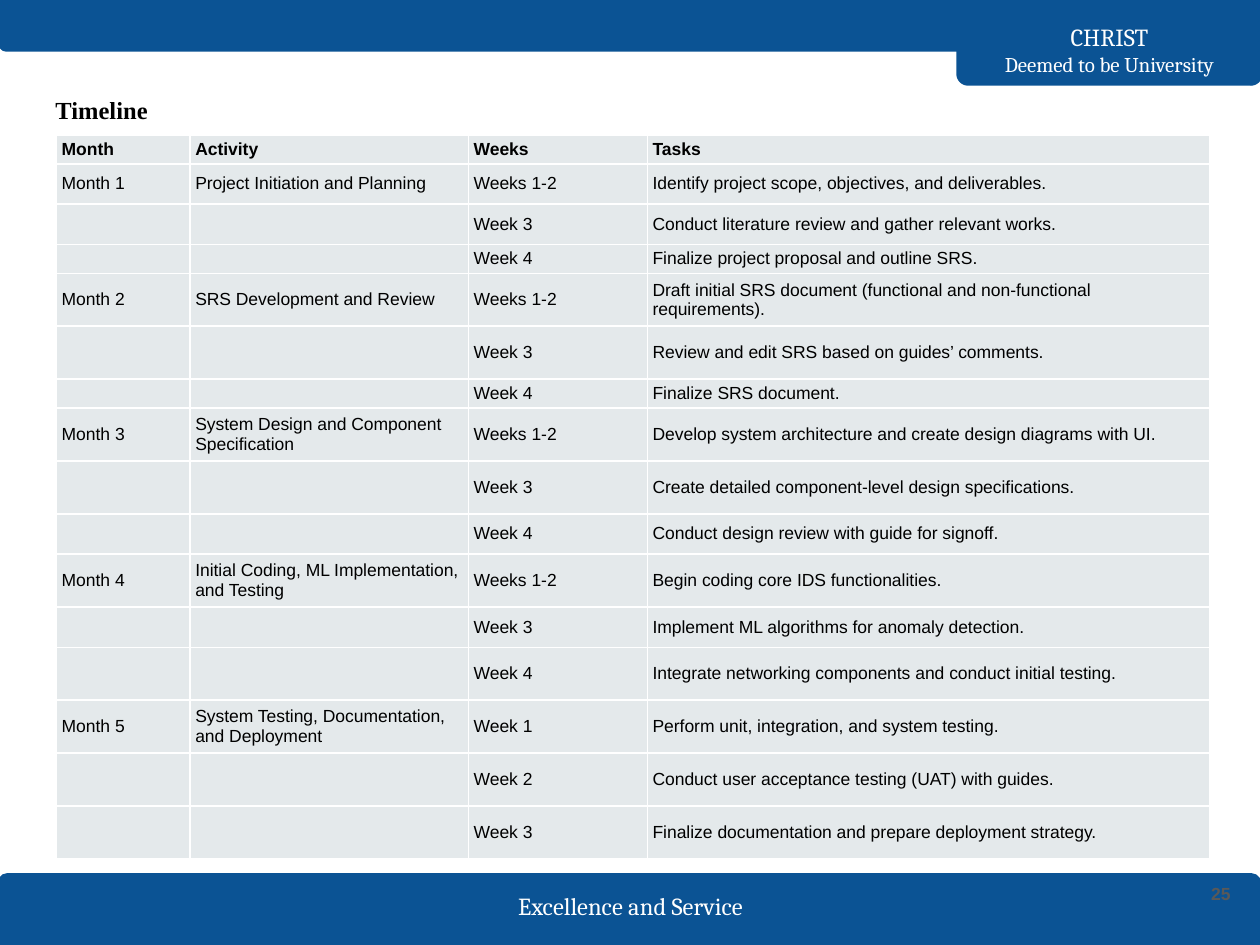
"""Build the project timeline slide."""
import lxml.etree
import pptx
import pptx.dml.color
import pptx.enum.shapes
import pptx.enum.text
import pptx.oxml.ns
import pptx.util

Inches = pptx.util.Inches
ANCHOR = pptx.enum.text.MSO_ANCHOR
ALIGN = pptx.enum.text.PP_ALIGN

COLORS = {"band": "0B5394", "cell": "E4E9EB", "text": "000000",
          "light": "FFFFFF", "number": "595959"}

HEADINGS = ("Month", "Activity", "Weeks", "Tasks")
COLUMN_WIDTHS = (1.06, 2.21, 1.42, 4.46)
HEADING_HEIGHT = 0.23
MONTHS = [
    ("Month 1", "Project Initiation and Planning", [
        ("Weeks 1-2", "Identify project scope, objectives, and deliverables.", 0.32),
        ("Week 3", "Conduct literature review and gather relevant works.", 0.32),
        ("Week 4", "Finalize project proposal and outline SRS.", 0.23)]),
    ("Month 2", "SRS Development and Review", [
        ("Weeks 1-2", "Draft initial SRS document (functional and non-functional requirements).", 0.42),
        ("Week 3", "Review and edit SRS based on guides’ comments.", 0.42),
        ("Week 4", "Finalize SRS document.", 0.23)]),
    ("Month 3", "System Design and Component Specification", [
        ("Weeks 1-2", "Develop system architecture and create design diagrams with UI.", 0.42),
        ("Week 3", "Create detailed component-level design specifications.", 0.42),
        ("Week 4", "Conduct design review with guide for signoff.", 0.32)]),
    ("Month 4", "Initial Coding, ML Implementation, and Testing", [
        ("Weeks 1-2", "Begin coding core IDS functionalities.", 0.42),
        ("Week 3", "Implement ML algorithms for anomaly detection.", 0.32),
        ("Week 4", "Integrate networking components and conduct initial testing.", 0.42)]),
    ("Month 5", "System Testing, Documentation, and Deployment", [
        ("Week 1", "Perform unit, integration, and system testing.", 0.42),
        ("Week 2", "Conduct user acceptance testing (UAT) with guides.", 0.42),
        ("Week 3", "Finalize documentation and prepare deployment strategy.", 0.42)]),
]
BANDS = [((-0.01, 6.94, 10.01, 0.56), 0), ((7.6, 0, 2.41, 0.67), 180),
         ((0, 0, 10.01, 0.4), 180)]
LABELS = [
    ((3.66, 7.03, 2.69, 0.32), [("Excellence and Service", 14)], "Cambria", "light", False),
    ((7.6, 0.27, 2.41, 0.25), [("CHRIST", 14), ("Deemed to be University", 12)],
     "Cambria", "light", False),
    ((9.44, 6.94, 0.5, 0.3), [("25", 10)], "Arial", "number", True),
]


def rgb(name):
    return pptx.dml.color.RGBColor.from_string(COLORS[name])


def style(paragraph, size, face, color, bold=False):
    font = paragraph.font
    font.size, font.name, font.bold = pptx.util.Pt(size), face, bold
    font.color.rgb = rgb(color)


def set_margins(frame, horizontal, vertical):
    frame.margin_left = frame.margin_right = Inches(horizontal)
    frame.margin_top = frame.margin_bottom = Inches(vertical)


def add_band(slide, box, rotation):
    band = slide.shapes.add_shape(
        pptx.enum.shapes.MSO_SHAPE.ROUND_2_SAME_RECTANGLE, *map(Inches, box))
    band.adjustments[0], band.adjustments[1] = 0.125, 0
    band.rotation = rotation
    band.shadow.inherit = False
    band.fill.solid()
    band.fill.fore_color.rgb = band.line.color.rgb = rgb("band")
    band.line.width = pptx.util.Pt(1.5)


def add_label(slide, box, lines, face, color, bold):
    frame = slide.shapes.add_textbox(*map(Inches, box)).text_frame
    frame.word_wrap = True
    frame.vertical_anchor = ANCHOR.MIDDLE
    set_margins(frame, 0.1, 0.1)
    frame.text = "\n".join(text for text, size in lines)
    for paragraph, (text, size) in zip(frame.paragraphs, lines):
        paragraph.alignment = ALIGN.CENTER
        style(paragraph, size, face, color, bold)


def add_title(slide):
    title = slide.shapes.title
    title.left, title.top, title.width, title.height = map(Inches, (0.34, 0.65, 9.32, 0.83))
    frame = title.text_frame
    frame.text = "Timeline"
    frame.auto_size = pptx.enum.text.MSO_AUTO_SIZE.NONE
    frame.vertical_anchor = ANCHOR.TOP
    set_margins(frame, 0.1, 0.1)
    frame.paragraphs[0].alignment = ALIGN.LEFT
    style(frame.paragraphs[0], 14, "Times New Roman", "text", True)


def fill_cell(cell, text, bold):
    cell.fill.solid()
    cell.fill.fore_color.rgb = rgb("cell")
    cell.vertical_anchor = ANCHOR.MIDDLE
    set_margins(cell, 0.04, 0.02)
    paragraph = cell.text_frame.paragraphs[0]
    if text:
        paragraph.text = text
        style(paragraph, 10, "Arial", "text", bold)
    else:
        lxml.etree.SubElement(paragraph._p, pptx.oxml.ns.qn("a:endParaRPr"), sz="1000")


def add_timeline(slide):
    rows, heights = [HEADINGS], [HEADING_HEIGHT]
    for month, activity, tasks in MONTHS:
        for index, (weeks, task, height) in enumerate(tasks):
            rows.append(("" if index else month, "" if index else activity, weeks, task))
            heights.append(height)
    timeline = slide.shapes.add_table(
        len(rows), len(HEADINGS), Inches(0.45), Inches(1.07),
        Inches(sum(COLUMN_WIDTHS)), Inches(sum(heights))).table
    timeline.horz_banding = timeline.first_row = False
    for column, width in zip(timeline.columns, COLUMN_WIDTHS):
        column.width = Inches(width)
    for index, (row, texts, height) in enumerate(zip(timeline.rows, rows, heights)):
        row.height = Inches(height)
        for cell, text in zip(row.cells, texts):
            fill_cell(cell, text, index == 0)


def main():
    deck = pptx.Presentation()
    deck.slide_width, deck.slide_height = Inches(10), Inches(7.5)
    slide = deck.slides.add_slide(deck.slide_layouts[5])
    for band in BANDS:
        add_band(slide, *band)
    for label in LABELS:
        add_label(slide, *label)
    add_title(slide)
    add_timeline(slide)
    deck.save("out.pptx")


if __name__ == "__main__":
    main()
